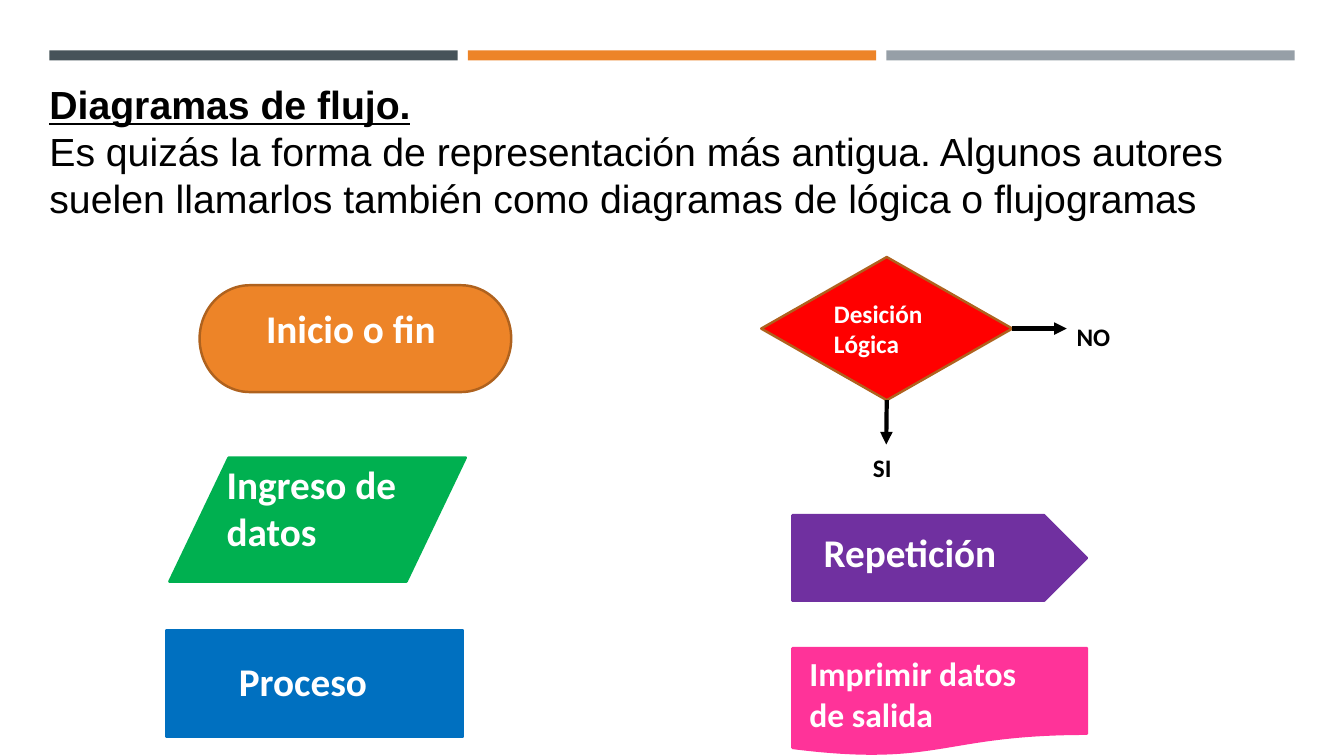
"""Build the slide that presents the symbols of a flowchart."""
from dataclasses import dataclass

from lxml import etree
from pptx import Presentation
from pptx import util as u
from pptx.dml.color import RGBColor
from pptx.enum import shapes, text
from pptx.oxml.ns import qn

PX = u.Inches(1) // 100
KIND = shapes.MSO_SHAPE
LEFT, CENTER = text.PP_ALIGN.LEFT, text.PP_ALIGN.CENTER
TOP, MIDDLE = text.MSO_ANCHOR.TOP, text.MSO_ANCHOR.MIDDLE


@dataclass(frozen=True)
class Theme:
    """Colours, fonts and sizes of the slide."""
    ink: str = "000000"
    paper: str = "FFFFFF"
    slate: str = "465359"
    orange: str = "ED8428"
    grey: str = "969FA7"
    rust: str = "AF621E"
    green: str = "00B050"
    blue: str = "0070C0"
    red: str = "FF0000"
    purple: str = "7030A0"
    pink: str = "FF3399"
    heading_font: str = "Arial"
    label_font: str = "Calibri"
    large: int = 28
    medium: int = 24
    small: int = 18
    outline: float = 1.75
    arrow: int = 3


THEME = Theme()


def emu(*lengths):
    """Turn px lengths into EMU."""
    return [u.Emu(length * PX) for length in lengths]


def apply(target, values):
    """Set each attribute of the target from a dict."""
    for key, value in values.items():
        setattr(target, key, value)


def write(frame, lines, colour, size, font, align=LEFT, anchor=TOP):
    """Fill a text frame with (wording, run format) paragraphs."""
    apply(frame, {"word_wrap": True, "vertical_anchor": anchor,
                  "auto_size": text.MSO_AUTO_SIZE.NONE})
    for index, (wording, emphasis) in enumerate(lines):
        line = frame.paragraphs[0] if index == 0 else frame.add_paragraph()
        line.alignment = align
        run = line.add_run()
        run.text = wording
        apply(run.font, {"name": font, "size": u.Pt(size), **emphasis})
        run.font.color.rgb = RGBColor.from_string(colour)


def add_symbol(slide, kind, box, fill, edge=None):
    """Draw a filled preset shape, outlined when an edge colour is given."""
    symbol = slide.shapes.add_shape(kind, *emu(*box))
    symbol.shadow.inherit = False
    symbol.fill.solid()
    symbol.fill.fore_color.rgb = RGBColor.from_string(fill)
    if edge:
        symbol.line.color.rgb = RGBColor.from_string(edge)
        symbol.line.width = u.Pt(THEME.outline)
    else:
        symbol.line.fill.background()
    return symbol


def add_label(slide, wording, box, colour, size, align=LEFT):
    """Place a bold label in its own text box."""
    label = slide.shapes.add_textbox(*emu(*box))
    write(label.text_frame, [(wording, {"bold": True})], colour, size,
          THEME.label_font, align)


def add_bands(slide, left, top, width, height, gap):
    """Draw the three coloured bands across the top."""
    for column, colour in enumerate((THEME.slate, THEME.orange, THEME.grey)):
        band_left = left + column * (width + gap)
        add_symbol(slide, KIND.RECTANGLE, (band_left, top, width, height), colour)


def add_heading(slide, box):
    """Write the title and its definition in the title placeholder."""
    heading = slide.shapes.title
    apply(heading, dict(zip(("left", "top", "width", "height"), emu(*box))))
    definition = ("Es quizás la forma de representación más antigua. Algunos autores "
                  "suelen llamarlos también como diagramas de lógica o flujogramas")
    write(heading.text_frame,
          [("Diagramas de flujo.", {"bold": True, "underline": True}),
           (definition, {"bold": False, "underline": False})],
          THEME.ink, THEME.large, THEME.heading_font)


def add_labelled_symbols(slide, left, top, entries):
    """Draw a column of symbols, each label offset from its symbol's corner."""
    for kind, (x, y, w, h), fill, edge, wording, (dx, dy, lw, lh), size, align in entries:
        add_symbol(slide, kind, (left + x, top + y, w, h), fill, edge)
        add_label(slide, wording, (left + x + dx, top + y + dy, lw, lh),
                  THEME.paper, size, align)


def add_branch(slide, decision, site, tip):
    """Join an arrow to one connection site of the decision."""
    branch = slide.shapes.add_connector(
        shapes.MSO_CONNECTOR.STRAIGHT, 0, 0, *emu(*tip))
    branch.begin_connect(decision, site)
    branch.line.color.rgb = RGBColor.from_string(THEME.ink)
    branch.line.width = u.Pt(THEME.arrow)
    etree.SubElement(branch.line._get_or_add_ln(), qn("a:tailEnd"), type="triangle")
    etree.SubElement(branch._element.spPr, qn("a:effectLst"))


def add_decision(slide, left, top, width, height):
    """Draw the decision with its NO and SI branches."""
    decision = add_symbol(slide, KIND.FLOWCHART_DECISION,
                          (left, top, width, height), THEME.red, THEME.rust)
    write(decision.text_frame, [("Desición Lógica", {"bold": True})],
          THEME.paper, THEME.small, THEME.label_font, anchor=MIDDLE)
    middle_x, middle_y = left + width // 2, top + height // 2
    right, bottom = left + width, top + height
    add_branch(slide, decision, 3, (right + 54, middle_y))
    add_branch(slide, decision, 2, (middle_x, bottom + 44))
    add_label(slide, "NO", (right + 54, middle_y - 12, 77, 40), THEME.ink, THEME.small)
    add_label(slide, "SI", (middle_x - 23, bottom + 47, 47, 40), THEME.ink, THEME.small)


def build_slide(deck):
    """Compose the whole slide."""
    slide = deck.slides.add_slide(deck.slide_layouts[5])
    add_bands(slide, 49, 50, 405, 10, 10)
    add_heading(slide, (39, 75, 1245, 199))
    add_labelled_symbols(slide, 165, 283, [
        (KIND.FLOWCHART_TERMINATOR, (33, 0, 309, 106), THEME.orange, THEME.rust,
         "Inicio o fin", (35, 14, 230, 57), THEME.large, CENTER),
        (KIND.FLOWCHART_DATA, (3, 171, 294, 123), THEME.green, THEME.green,
         "Ingreso de datos", (47, -2, 206, 104), THEME.large, LEFT),
        (KIND.FLOWCHART_PROCESS, (0, 342, 294, 106), THEME.blue, THEME.blue,
         "Proceso", (15, 22, 241, 57), THEME.large, CENTER),
    ])
    add_decision(slide, 755, 255, 249, 142)
    add_labelled_symbols(slide, 786, 511, [
        (KIND.PENTAGON, (0, 0, 292, 85), THEME.purple, THEME.purple,
         "Repetición", (21, 8, 252, 57), THEME.large, LEFT),
        (KIND.FLOWCHART_DOCUMENT, (0, 132, 292, 106), THEME.pink, THEME.pink,
         "Imprimir datos de salida", (7, 0, 265, 91), THEME.medium, LEFT),
    ])


def main():
    """Create the deck and save it."""
    deck = Presentation()
    deck.slide_width, deck.slide_height = emu(1333, 750)
    build_slide(deck)
    deck.save("out.pptx")


if __name__ == "__main__":
    main()
